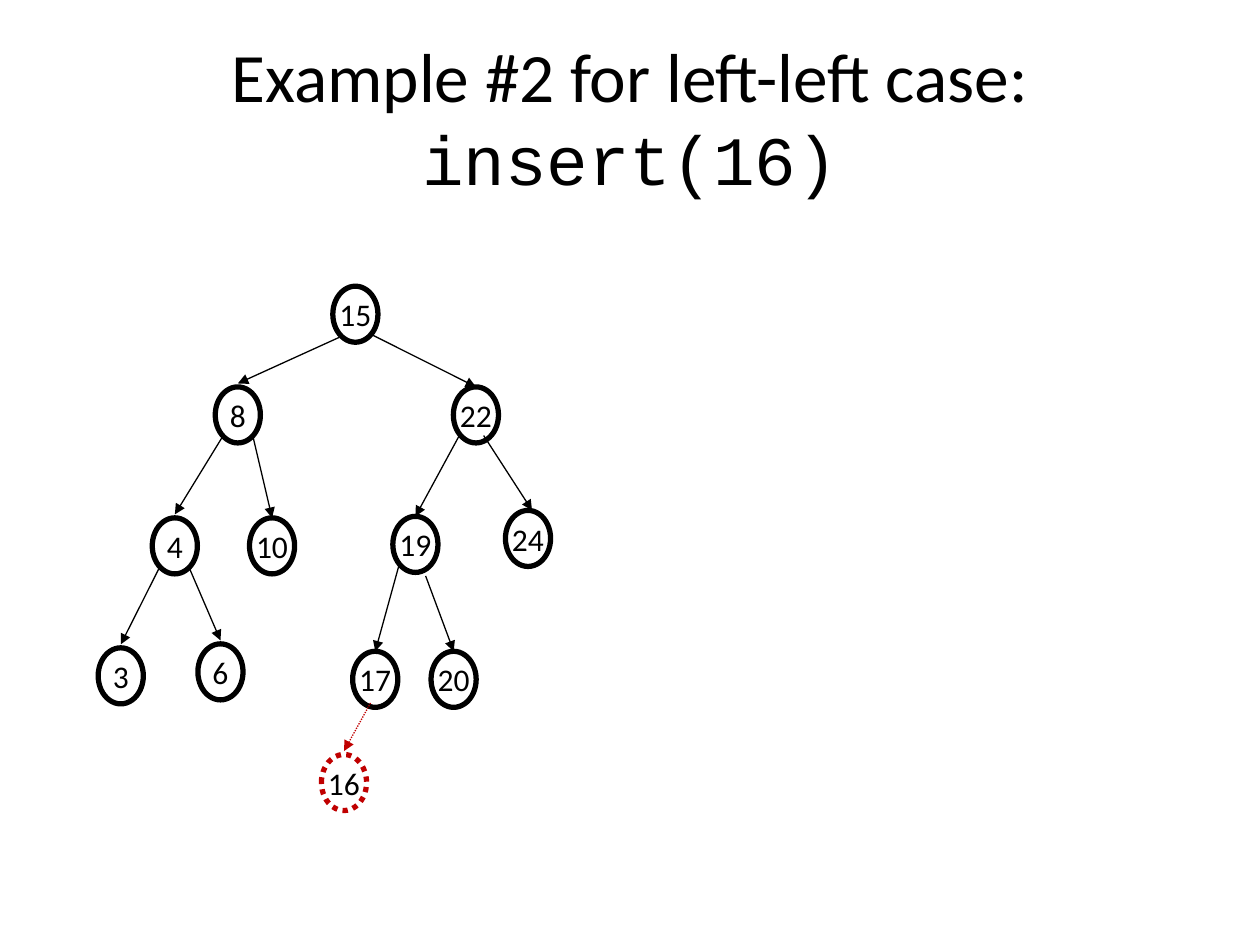
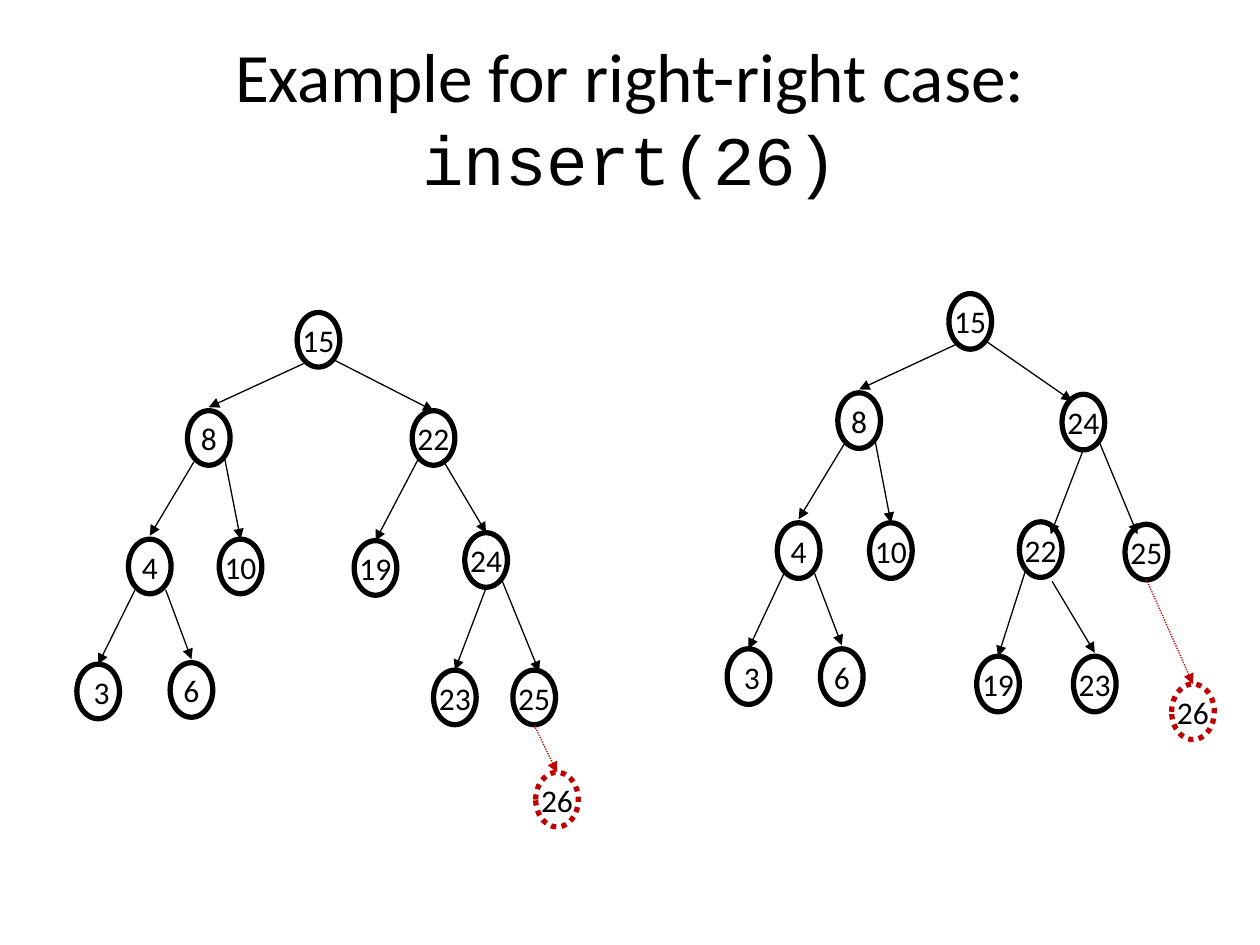
"""Build two slides that show insertions into AVL trees."""
from dataclasses import dataclass

from lxml.etree import SubElement
from pptx import Presentation
from pptx.dml.color import RGBColor
from pptx.enum.dml import MSO_LINE
from pptx.enum.shapes import MSO_CONNECTOR, MSO_SHAPE
from pptx.enum.text import MSO_ANCHOR, MSO_AUTO_SIZE, PP_ALIGN
from pptx.oxml.ns import qn
from pptx.util import Cm, Pt

COLORS = {"ink": "000000", "inserted": "C00000"}
BODY_FONT, CODE_FONT = "Calibri", "Courier New"

LEFT, UPPER_LEFT, INNER_LEFT = (0.13, 1.03), (0.13, 0.96), (0.36, 1.04)
RIGHT, LOWER_RIGHT, INNER_RIGHT = (0.75, 0.96), (0.75, 1.02), (0.61, 0.98)
BOTTOM, BELOW_RIGHT = (0.43, 1.11), (0.66, 1.2)
TOP, ABOVE = (0, 0), (0, -0.07)


@dataclass
class Node:
    """A key, its place, its parent, and where the arrow from the parent runs."""
    key: int
    left: float
    top: float
    parent: int = None
    start: tuple = LEFT
    end: tuple = TOP
    inserted: bool = False
    inset: float = 0


LEFT_LEFT_TREE = [
    Node(15, 6.71, 5.77),
    Node(8, 4.34, 7.8, 15, LEFT, ABOVE),
    Node(22, 9.14, 7.8, 15, RIGHT),
    Node(4, 3.07, 10.44, 8, LEFT, ABOVE),
    Node(10, 5.03, 10.44, 8, RIGHT),
    Node(19, 7.92, 10.41, 22, UPPER_LEFT),
    Node(24, 10.19, 10.29, 22, INNER_RIGHT, (0.08, 0)),
    Node(3, 1.98, 13.06, 4, LEFT, ABOVE),
    Node(6, 3.99, 12.98, 4, LOWER_RIGHT, ABOVE),
    Node(17, 7.11, 13.13, 19, UPPER_LEFT),
    Node(20, 8.69, 13.13, 19, BELOW_RIGHT),
    Node(16, 6.48, 15.21, 17, INNER_LEFT, ABOVE, inserted=True),
]
RIGHT_RIGHT_BEFORE = [
    Node(15, 5.99, 6.3),
    Node(8, 3.78, 8.28, 15, LEFT, ABOVE),
    Node(22, 8.31, 8.28, 15, RIGHT),
    Node(4, 2.59, 10.87, 8, LEFT, ABOVE),
    Node(10, 4.42, 10.87, 8, RIGHT),
    Node(19, 7.14, 10.9, 22, UPPER_LEFT),
    Node(24, 9.37, 10.74, 22, INNER_RIGHT),
    Node(3, 1.55, 13.39, 4, inset=0.14),
    Node(6, 3.43, 13.36, 4, LOWER_RIGHT, ABOVE),
    Node(23, 8.74, 13.51, 24, BOTTOM),
    Node(25, 10.34, 13.51, 24, RIGHT, (0.1, 0.03)),
    Node(26, 10.8, 15.57, 25, BOTTOM, inserted=True),
]
RIGHT_RIGHT_AFTER = [
    Node(15, 19.13, 5.92),
    Node(8, 16.89, 7.92, 15, LEFT, ABOVE),
    Node(24, 21.41, 7.95, 15, RIGHT, (-0.23, 0.13)),
    Node(4, 15.67, 10.54, 8, LEFT, ABOVE),
    Node(10, 17.53, 10.54, 8, RIGHT),
    Node(22, 20.55, 10.52, 24, BOTTOM, (0.2, 0.25)),
    Node(25, 22.68, 10.57, 24, RIGHT, (-0.18, 0.2)),
    Node(3, 14.66, 13.08, 4, inset=0.14),
    Node(6, 16.54, 13.08, 4, LOWER_RIGHT, ABOVE),
    Node(19, 19.69, 13.23, 22, UPPER_LEFT),
    Node(23, 21.64, 13.23, 22, BELOW_RIGHT, ABOVE),
    Node(26, 23.62, 13.79, 25, BOTTOM, inserted=True),
]


def set_attributes(target, values):
    """Set each named attribute of the target."""
    for name, value in values.items():
        setattr(target, name, value)


def format_font(font, name, size):
    """Give a font its face, size and the ink colour."""
    set_attributes(font, {"name": name, "size": Pt(size)})
    font.color.rgb = RGBColor.from_string(COLORS["ink"])


def format_line(line, node, width):
    """Draw a solid ink line, or a dotted red one for an inserted node."""
    line.width = Pt(width)
    line.color.rgb = RGBColor.from_string(COLORS["inserted" if node.inserted else "ink"])
    if node.inserted:
        line.dash_style = MSO_LINE.ROUND_DOT


def add_title_slide(presentation, heading, call):
    """Add a slide whose title has a heading line and a line of code."""
    slide = presentation.slides.add_slide(presentation.slide_layouts[5])
    title = slide.shapes.title
    set_attributes(title, {"left": Cm(1.27), "top": Cm(0.76),
                           "width": Cm(22.86), "height": Cm(3.18)})
    set_attributes(title.text_frame, {"word_wrap": True, "auto_size": MSO_AUTO_SIZE.NONE,
                                      "vertical_anchor": MSO_ANCHOR.MIDDLE})
    paragraph = title.text_frame.paragraphs[0]
    paragraph.alignment = PP_ALIGN.CENTER
    for text, font_name in ((heading, BODY_FONT), (call, CODE_FONT)):
        if paragraph.runs:
            paragraph.add_line_break()
        run = paragraph.add_run()
        run.text = text
        format_font(run.font, font_name, 39.6)
    return slide


def add_node(slide, node, width, height):
    """Draw one node as an outlined ellipse that holds its key."""
    shape = slide.shapes.add_shape(MSO_SHAPE.OVAL, Cm(node.left), Cm(node.top),
                                   Cm(width), Cm(height))
    shape.shadow.inherit = False
    shape.fill.background()
    format_line(shape.line, node, 3)
    set_attributes(shape.text_frame, {
        "margin_left": Cm(node.inset), "margin_right": 0, "margin_top": 0,
        "margin_bottom": 0, "word_wrap": False, "vertical_anchor": MSO_ANCHOR.MIDDLE})
    paragraph = shape.text_frame.paragraphs[0]
    paragraph.alignment = PP_ALIGN.CENTER
    run = paragraph.add_run()
    run.text = str(node.key)
    format_font(run.font, BODY_FONT, 18)
    return shape


def add_arrow(slide, parent, node, shape, width):
    """Draw the arrow from a parent to its child, joined where it meets the top."""
    connector = slide.shapes.add_connector(
        MSO_CONNECTOR.STRAIGHT,
        Cm(parent.left + node.start[0]), Cm(parent.top + node.start[1]),
        Cm(node.left + width / 2 + node.end[0]), Cm(node.top + node.end[1]))
    if node.end == TOP:
        connector.end_connect(shape, 0)
    format_line(connector.line, node, 0.75)
    SubElement(connector.line._get_or_add_ln(), qn("a:tailEnd"), type="triangle")
    SubElement(connector._element.spPr, qn("a:effectLst"))


def add_tree(slide, nodes, width, height):
    """Draw all nodes of a tree and the arrows between them."""
    by_key = {node.key: node for node in nodes}
    for node in nodes:
        shape = add_node(slide, node, width, height)
        if node.parent is not None:
            add_arrow(slide, by_key[node.parent], node, shape, width)


def main():
    """Build and save the presentation."""
    presentation = Presentation()
    set_attributes(presentation, {"slide_width": Cm(25.4), "slide_height": Cm(19.05)})

    left_left = add_title_slide(presentation, "Example #2 for left-left case:", "insert(16)")
    add_tree(left_left, LEFT_LEFT_TREE, 0.91, 1.13)

    right_right = add_title_slide(presentation, "Example for right-right case:", "insert(26)")
    add_tree(right_right, RIGHT_RIGHT_BEFORE, 0.86, 1.1)
    add_tree(right_right, RIGHT_RIGHT_AFTER, 0.86, 1.12)

    presentation.save("out.pptx")


if __name__ == "__main__":
    main()
